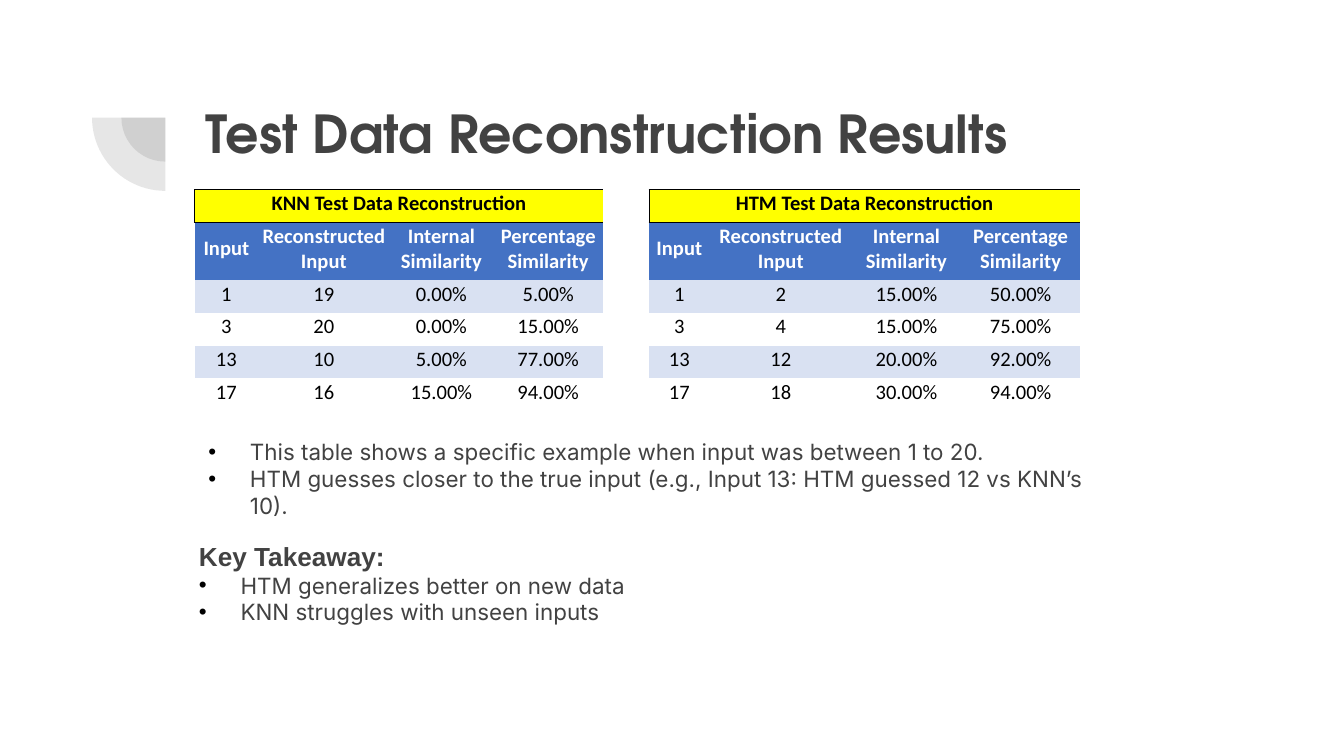
from dataclasses import dataclass

from lxml.etree import SubElement
from pptx import Presentation
from pptx.dml.color import RGBColor
from pptx.enum.shapes import MSO_SHAPE
from pptx.enum.text import MSO_ANCHOR as Anchor, MSO_AUTO_SIZE as AutoSize, PP_ALIGN as Align
from pptx.oxml import parse_xml
from pptx.oxml.ns import nsdecls, qn
from pptx.util import Inches, Pt

SLIDE_WIDTH = Inches(10)
SLIDE_HEIGHT = SLIDE_WIDTH * 9 // 16
NO_STYLE = "{2D5ABB26-0587-4C30-8999-92F81FD0307C}"


@dataclass(frozen=True)
class Theme:
    """Colours, fonts and type sizes of the slide."""
    ink: str = "424242"
    black: str = "000000"
    white: str = "FFFFFF"
    caption: str = "FFFF00"
    header: str = "4472C4"
    band: str = "D9E1F2"
    title_font: str = "TeX Gyre Adventor"
    body_font: str = "Inter"
    heading_font: str = "Arial"
    table_font: str = "Calibri"
    title_size: int = 28
    heading_size: int = 14
    body_size: int = 12
    table_size: int = 11
    mark_opacity: int = 13000


@dataclass(frozen=True)
class Box:
    """A rectangle in slide units."""
    left: int
    top: int
    width: int
    height: int

    @classmethod
    def percent(cls, left, top, width, height):
        """Make a box from percentages of the slide's size."""
        return cls(int(SLIDE_WIDTH * left / 100), int(SLIDE_HEIGHT * top / 100),
                   int(SLIDE_WIDTH * width / 100), int(SLIDE_HEIGHT * height / 100))

    def centred(self, share):
        """Return a concentric box scaled by a share."""
        width, height = int(self.width * share), int(self.height * share)
        return Box(self.left + (self.width - width) // 2,
                   self.top + (self.height - height) // 2, width, height)

    def place(self, shape):
        """Move a shape into this box."""
        shape.left, shape.top = self.left, self.top
        shape.width, shape.height = self.width, self.height


THEME = Theme()


def add_run(paragraph, text, font, size, color, bold=False):
    """Add one formatted run."""
    run = paragraph.add_run()
    run.text = text
    run.font.name, run.font.size, run.font.bold = font, Pt(size), bold
    run.font.color.rgb = RGBColor.from_string(color)


def set_bullet(paragraph, bulleted):
    """Give a paragraph a hanging bullet, or clear the inherited one."""
    properties = paragraph._p.get_or_add_pPr()
    hanging = Inches(0.31) if bulleted else 0
    properties.set("marL", str(hanging))
    properties.set("indent", str(-hanging))
    if bulleted:
        color = SubElement(properties, qn("a:buClr"))
        SubElement(color, qn("a:srgbClr"), val=THEME.black)
        SubElement(properties, qn("a:buFont"), typeface=THEME.heading_font)
        SubElement(properties, qn("a:buChar"), char="•")
    else:
        SubElement(properties, qn("a:buNone"))


def draw_corner_mark(slide, box):
    """Draw two concentric translucent quarter discs behind the slide's content."""
    for share in (1, 0.6):
        area = box.centred(share)
        shape = slide.shapes.add_shape(MSO_SHAPE.PIE, area.left, area.top, area.width, area.height)
        shape.adjustments[0], shape.adjustments[1] = 108, 162
        shape.rotation = 270
        shape.shadow.inherit = False
        shape.line.fill.background()
        shape.fill.solid()
        shape.fill.fore_color.rgb = RGBColor.from_string(THEME.ink)
        color = shape._element.spPr.find(qn("a:solidFill"))[0]
        SubElement(color, qn("a:alpha"), val=str(THEME.mark_opacity))
        slide.shapes._spTree.insert(2, shape._element)


def fill_title(placeholder, box, text):
    """Place and format the slide title."""
    box.place(placeholder)
    frame = placeholder.text_frame
    frame.word_wrap, frame.auto_size = True, AutoSize.NONE
    frame.vertical_anchor = Anchor.TOP
    frame.margin_left = frame.margin_right = frame.margin_top = frame.margin_bottom = Inches(0.1)
    paragraph = frame.paragraphs[0]
    paragraph.alignment = Align.LEFT
    add_run(paragraph, text, THEME.title_font, THEME.title_size, THEME.ink, True)


def fill_list(placeholder, box, items, heading=None):
    """Place a bulleted list with an optional bold heading."""
    box.place(placeholder)
    frame = placeholder.text_frame
    frame.word_wrap, frame.auto_size = True, AutoSize.SHAPE_TO_FIT_TEXT
    lines = ([(heading, False)] if heading else []) + [(item, True) for item in items]
    for index, (text, bulleted) in enumerate(lines):
        paragraph = frame.add_paragraph() if index else frame.paragraphs[0]
        set_bullet(paragraph, bulleted)
        paragraph.space_before = Pt(0)
        if bulleted:
            add_run(paragraph, text, THEME.body_font, THEME.body_size, THEME.ink)
        else:
            add_run(paragraph, text, THEME.heading_font, THEME.heading_size, THEME.ink, True)


def set_borders(cell, sides):
    """Draw thin black borders on the given sides of a cell and none on the others."""
    properties = cell._tc.get_or_add_tcPr()
    black = f'<a:solidFill><a:srgbClr val="{THEME.black}"/></a:solidFill>'
    for index, side in enumerate("LRTB"):
        paint = black if side in sides else "<a:noFill/>"
        properties.insert(index, parse_xml(
            f'<a:ln{side} {nsdecls("a")} w="6350">{paint}</a:ln{side}>'))


def format_cell(cell, text, fill, color, bold, sides=""):
    """Write centred text into a cell and set its fill and borders."""
    cell.vertical_anchor = Anchor.MIDDLE
    cell.margin_left = cell.margin_right = cell.margin_top = Inches(0.01)
    cell.margin_bottom = Inches(0.05)
    if fill:
        cell.fill.solid()
        cell.fill.fore_color.rgb = RGBColor.from_string(fill)
    else:
        cell.fill.background()
    set_borders(cell, sides)
    paragraph = cell.text_frame.paragraphs[0]
    paragraph.alignment = Align.CENTER
    add_run(paragraph, text, THEME.table_font, THEME.table_size, color, bold)


def draw_results_table(slide, box, caption, column_weights, results):
    """Draw a captioned results table with banded rows."""
    headers = ("Input", "Reconstructed Input", "Internal Similarity", "Percentage Similarity")
    row_weights = [21, 43] + [21] * len(results)
    table = slide.shapes.add_table(len(row_weights), len(headers), box.left, box.top,
                                   box.width, box.height).table
    table.first_row = table.horz_banding = False
    table._tbl.tblPr.find(qn("a:tableStyleId")).text = NO_STYLE
    for column, weight in zip(table.columns, column_weights):
        column.width = int(box.width * weight / sum(column_weights))
    for row, weight in zip(table.rows, row_weights):
        row.height = int(box.height * weight / sum(row_weights))
    title_cell = table.cell(0, 0)
    title_cell.merge(table.cell(0, len(headers) - 1))
    format_cell(title_cell, caption, THEME.caption, THEME.black, True, "LTB")
    for column, text in enumerate(headers):
        format_cell(table.cell(1, column), text, THEME.header, THEME.white, True, "T")
    for index, values in enumerate(results):
        fill = None if index % 2 else THEME.band
        for column, text in enumerate(values):
            format_cell(table.cell(index + 2, column), text, fill, THEME.black, False)


def main():
    """Build and save the presentation."""
    presentation = Presentation()
    presentation.slide_width, presentation.slide_height = SLIDE_WIDTH, SLIDE_HEIGHT
    slide = presentation.slides.add_slide(presentation.slide_layouts[3])
    title, findings, takeaway = slide.placeholders
    draw_corner_mark(slide, Box.percent(6.85, 5.87, 10.9, 19.38))
    fill_title(title, Box.percent(14.3, 11.56, 76.9, 19.38), "Test Data Reconstruction Results")
    fill_list(findings, Box.percent(14.5, 57.07, 67.7, 13.16), (
        "This table shows a specific example when input was between 1 to 20.",
        "HTM guesses closer to the true input (e.g., Input 13: HTM guessed 12 vs KNN’s 10)."))
    fill_list(takeaway, Box.percent(13.8, 70.58, 56.8, 17.42), (
        "HTM generalizes better on new data", "KNN struggles with unseen inputs"), "Key Takeaway:")
    draw_results_table(slide, Box.percent(14.5, 25.07, 30.4, 26.31),
                       "KNN Test Data Reconstruction", (47, 98, 77, 82), (
        ("1", "19", "0.00%", "5.00%"), ("3", "20", "0.00%", "15.00%"),
        ("13", "10", "5.00%", "77.00%"), ("17", "16", "15.00%", "94.00%")))
    draw_results_table(slide, Box.percent(48.3, 25.07, 32.1, 26.31),
                       "HTM Test Data Reconstruction", (45, 106, 81, 89), (
        ("1", "2", "15.00%", "50.00%"), ("3", "4", "15.00%", "75.00%"),
        ("13", "12", "20.00%", "92.00%"), ("17", "18", "30.00%", "94.00%")))
    presentation.save("out.pptx")


if __name__ == "__main__":
    main()
